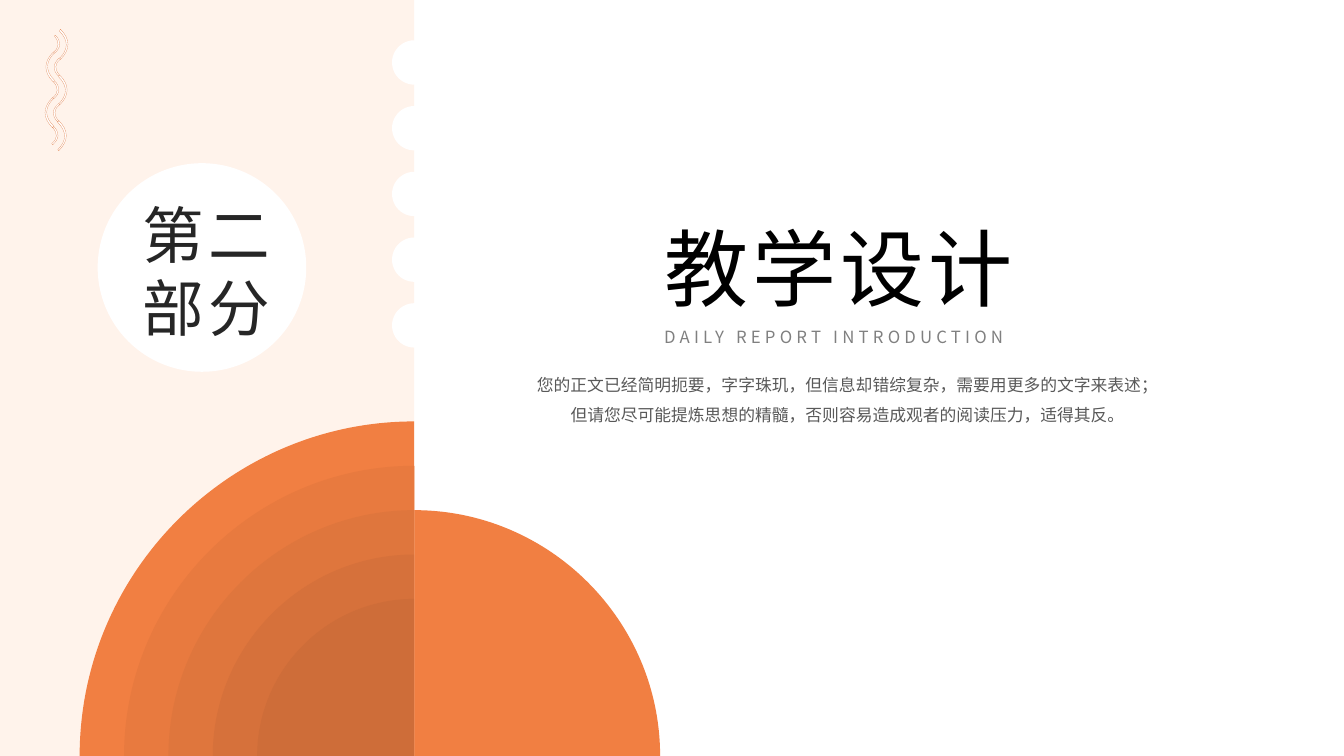
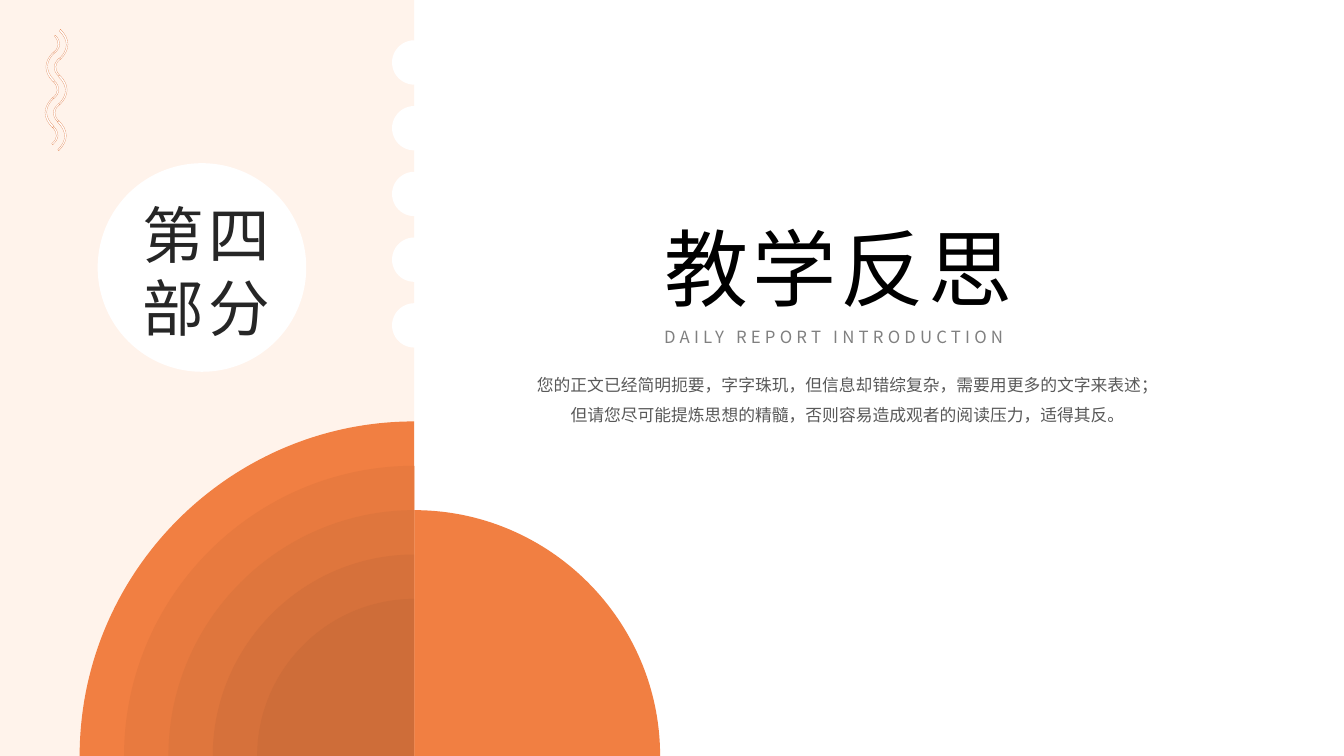
from itertools import takewhile

from lxml import etree
from pptx import Presentation
from pptx.dml.color import RGBColor
from pptx.enum.shapes import MSO_SHAPE
from pptx.enum.text import MSO_AUTO_SIZE, PP_ALIGN
from pptx.oxml.ns import qn
from pptx.util import Pt

RECTANGLE, OVAL = MSO_SHAPE.RECTANGLE, MSO_SHAPE.OVAL
LEFT, CENTER = PP_ALIGN.LEFT, PP_ALIGN.CENTER
FIT_SHAPE = MSO_AUTO_SIZE.SHAPE_TO_FIT_TEXT

WHITE = RGBColor(0xFF, 0xFF, 0xFF)
CREAM = RGBColor(0xFF, 0xF3, 0xEB)
ORANGE = RGBColor(0xF1, 0x7F, 0x42)
RUST = RGBColor(0xDF, 0x76, 0x3D)
RING_COLOURS = [ORANGE, RGBColor(0xE8, 0x7A, 0x3F), RUST,
                RGBColor(0xD6, 0x71, 0x3B), RGBColor(0xCE, 0x6D, 0x39)]
BLACK = RGBColor(0, 0, 0)
INK = RGBColor(0x26, 0x26, 0x26)
BODY_GREY = RGBColor(0x59, 0x59, 0x59)
LIGHT_GREY = RGBColor(0x80, 0x80, 0x80)

FONT = "Noto Sans CJK SC"
WIDTH, HEIGHT = 960, 540
SEAM = 295.9  # where the cream panel meets the white page
RING_RADIUS, RING_STEP = 239, 31.7
NOTCH_SIZE, NOTCH_TOP, NOTCH_PITCH = 31.7, 28.8, 46.95

SECTIONS = [("第二", "教学设计"), ("第四", "教学反思")]
SUBTITLE = "DAILY REPORT INTRODUCTION"
SUMMARY = ["您的正文已经简明扼要，字字珠玑，但信息却错综复杂，需要用更多的文字来表述；",
           "但请您尽可能提炼思想的精髓，否则容易造成观者的阅读压力，适得其反。"]


def paint(shape, fill, line=None):
    shape.shadow.inherit = False
    shape.fill.solid()
    shape.fill.fore_color.rgb = fill
    if line is None:
        shape.line.fill.background()
    else:
        shape.line.color.rgb = line
        shape.line.width = Pt(0.11)


def bend_sides(shape):
    """Turn sides 1-3 and 5-7 of each contour into one cubic curve each."""
    for start in list(shape._element.iter(qn("a:moveTo"))):
        sides = list(takewhile(lambda side: side.tag == qn("a:lnTo"), start.itersiblings()))
        for first in (0, 4):
            controls = sides[first:first + 3]
            if len(controls) == 3:
                cubic = etree.Element(qn("a:cubicBezTo"))
                controls[0].addprevious(cubic)
                for side in controls:
                    cubic.append(side[0])
                    side.getparent().remove(side)


# Quarter discs on the bottom edge; side is -1 left of the seam, 1 right of it
discs = [(RING_RADIUS - i * RING_STEP, -1, colour) for i, colour in enumerate(RING_COLOURS)]
discs.append((RING_RADIUS - 2 * RING_STEP, 1, ORANGE))
quarters = []
for radius, side, colour in discs:
    edge, top = SEAM + side * radius, HEIGHT - radius
    quarter = [(edge, HEIGHT), (edge, HEIGHT - 0.55 * radius),
               (SEAM + side * 0.55 * radius, top), (SEAM, top), (SEAM, HEIGHT)]
    quarters.append(([quarter], colour, None))

# Squiggle: two thin ribbons per bend; left bends are right bends turned half round
ribbons = [
    [(39.6, 25.2), (43.9, 29.5), (43.9, 33.8), (38.9, 38.2),
     (38.2, 37.4), (42.5, 33.8), (42.5, 30.2), (38.9, 25.9)],
    [(43.2, 20.9), (50.4, 28.1), (50.4, 35.3), (43.2, 42.5),
     (42.5, 41.8), (49, 35.3), (49, 28.8), (42.5, 22.3)],
]
turned = [[(81.4 - x, 79.6 - y) for x, y in ribbon] for ribbon in ribbons]
bends = []
for bend, repeats in ((ribbons, 3), (turned, 2)):
    for i in range(repeats):
        moved = [[(x - 0.6 * i, y + 32.6 * i) for x, y in ribbon] for ribbon in bend]
        bends.append((moved, WHITE, RUST))

presets = [(RECTANGLE, 0, 0, SEAM, HEIGHT, CREAM), (OVAL, 69.8, 116.6, 149, 149, WHITE)]
presets += [(OVAL, SEAM - NOTCH_SIZE / 2, NOTCH_TOP + i * NOTCH_PITCH,
             NOTCH_SIZE, NOTCH_SIZE, WHITE) for i in range(5)]

prs = Presentation()
prs.slide_width, prs.slide_height = Pt(WIDTH), Pt(HEIGHT)

for number, title in SECTIONS:
    slide = prs.slides.add_slide(prs.slide_layouts[6])

    for preset, x, y, w, h, colour in presets:
        paint(slide.shapes.add_shape(preset, Pt(x), Pt(y), Pt(w), Pt(h)), colour)

    for outlines in (quarters, bends):
        group = slide.shapes.add_group_shape()
        for contours, fill, line in outlines:
            start_x, start_y = contours[0][0]
            builder = group.shapes.build_freeform(Pt(start_x), Pt(start_y))
            for i, contour in enumerate(contours):
                points = [(Pt(x), Pt(y)) for x, y in contour]
                if i:
                    builder.move_to(*points[0])
                builder.add_line_segments(points[1:], close=True)
            outline = builder.convert_to_shape()
            bend_sides(outline)
            paint(outline, fill, line)

    # place, lines, size, colour, alignment, letter spacing, line spacing
    texts = [
        ((28, 136.8, 239, 113.8), [number, "部分"], 44, INK, CENTER, 3, 1),
        ((467.3, 151.2, 388.8, 79.9), [title], 60, BLACK, LEFT, 3, 1),
        ((467.3, 229.7, 334.8, 21.6), [SUBTITLE], 12, LIGHT_GREY, LEFT, 3, 1),
        ((352.8, 257, 505.4, 49), SUMMARY, 12, BODY_GREY, CENTER, 0, 1.5),
    ]
    for place, lines, size, colour, alignment, tracking, leading in texts:
        frame = slide.shapes.add_textbox(*map(Pt, place)).text_frame
        frame.word_wrap = True
        frame.auto_size = FIT_SHAPE
        for i, line in enumerate(lines):
            paragraph = frame.add_paragraph() if i else frame.paragraphs[0]
            paragraph.alignment = alignment
            paragraph.line_spacing = leading
            run = paragraph.add_run()
            run.text = line
            run.font.size = Pt(size)
            run.font.color.rgb = colour
            run.font.name = FONT
            properties = run.font._element
            etree.SubElement(properties, qn("a:ea"), typeface=FONT)
            if tracking:
                properties.set("spc", str(tracking * 100))

prs.save("out.pptx")
